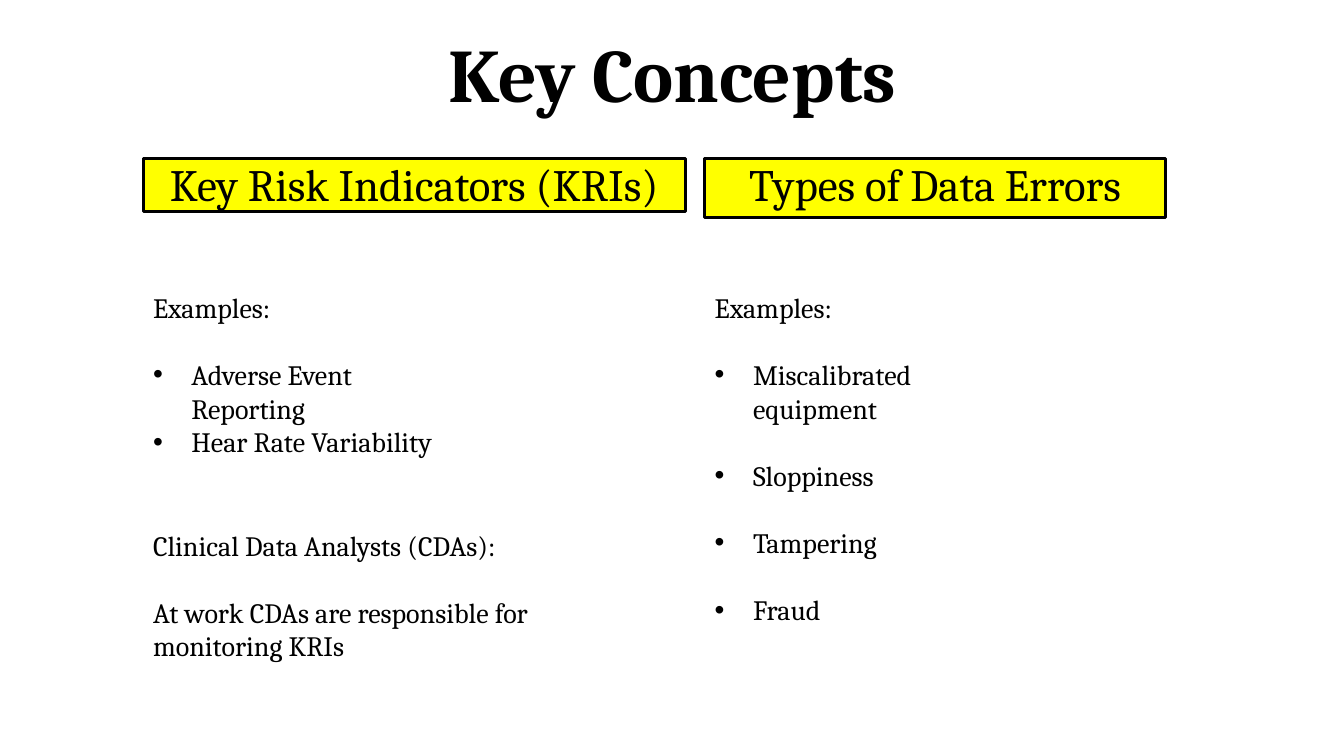
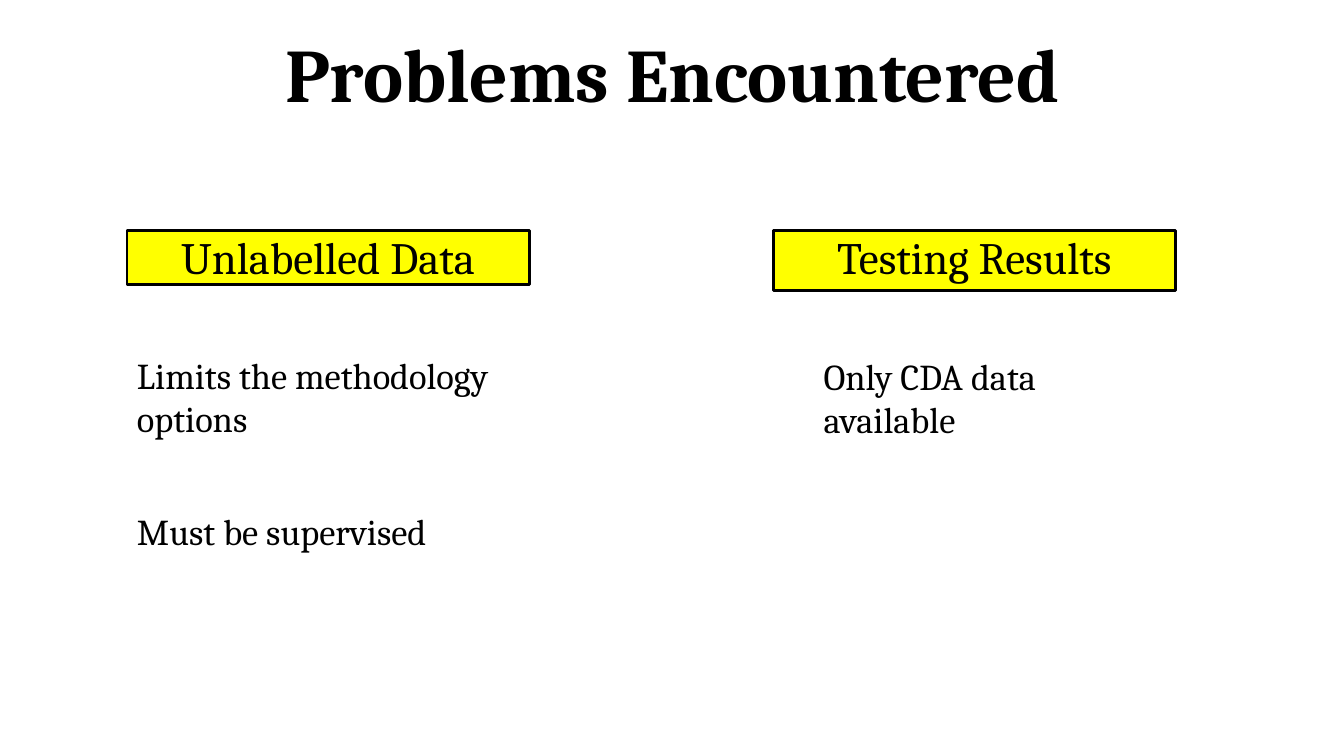
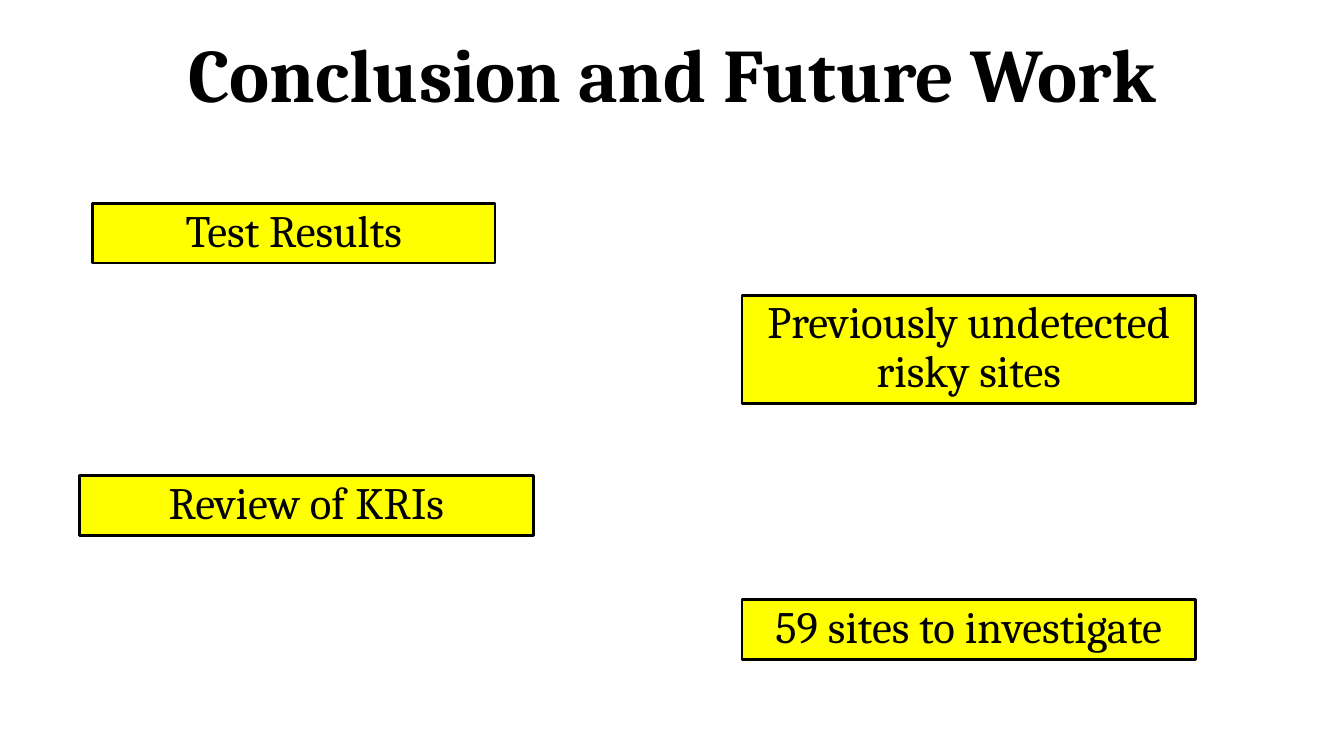
from lxml import etree
from pptx import Presentation
from pptx.dml.color import RGBColor
from pptx.enum.shapes import MSO_SHAPE
from pptx.enum.text import MSO_ANCHOR, MSO_AUTO_SIZE, PP_ALIGN
from pptx.oxml.ns import qn
from pptx.util import Inches, Pt

RECTANGLE = MSO_SHAPE.RECTANGLE
TOP, MIDDLE = MSO_ANCHOR.TOP, MSO_ANCHOR.MIDDLE
NO_AUTOFIT = MSO_AUTO_SIZE.NONE
LEFT, CENTER = PP_ALIGN.LEFT, PP_ALIGN.CENTER

FONT = "Cambria"
BLACK, YELLOW = "000000", "FFFF00"
TITLE_SIZE, LABEL_SIZE = 54, 32
TIGHT = 0.9
BLANK_LINE = 24
BULLET_INDENT = 0.38
SHORT_LABEL, LABEL, TALL_LABEL = 0.53, 0.59, 1.07


def colour(hex_value):
    """Turn a hex string into a colour."""
    return RGBColor.from_string(hex_value)


def add_run(paragraph, text, size, bold=False):
    """Add one run in the deck's font."""
    run = paragraph.add_run()
    run.text = text
    run.font.name = FONT
    run.font.size = Pt(size)
    run.font.bold = bold
    run.font.color.rgb = colour(BLACK)


def add_bullet(paragraph):
    """Give a paragraph a hanging round bullet."""
    properties = paragraph._p.get_or_add_pPr()
    properties.set("marL", str(Inches(BULLET_INDENT)))
    properties.set("indent", str(-Inches(BULLET_INDENT)))
    etree.SubElement(properties, qn("a:buFont")).set("typeface", "Arial")
    etree.SubElement(properties, qn("a:buChar")).set("char", "•")


def prepare_frame(shape, anchor):
    """Set wrapping and anchoring, and return the text frame."""
    frame = shape.text_frame
    frame.word_wrap = True
    frame.auto_size = NO_AUTOFIT
    frame.vertical_anchor = anchor
    return frame


def add_centred_text(shape, text, size, anchor, bold=False):
    """Write one tightly spaced, centred paragraph."""
    paragraph = prepare_frame(shape, anchor).paragraphs[0]
    paragraph.alignment = CENTER
    paragraph.line_spacing = TIGHT
    add_run(paragraph, text, size, bold)


def add_titled_slide(presentation, text):
    """Add a slide with the shared title style."""
    slide = presentation.slides.add_slide(presentation.slide_layouts[5])
    title = slide.shapes.title
    title.left, title.top = Inches(0.92), Inches(0.05)
    title.width, title.height = Inches(11.5), Inches(1.45)
    add_centred_text(title, text, TITLE_SIZE, MIDDLE, bold=True)
    return slide


def add_label(slide, text, left, top, width, height=LABEL):
    """Add a yellow label with a black outline."""
    label = slide.shapes.add_shape(
        RECTANGLE, Inches(left), Inches(top), Inches(width), Inches(height))
    label.shadow.inherit = False
    label.fill.solid()
    label.fill.fore_color.rgb = colour(YELLOW)
    label.line.color.rgb = colour(BLACK)
    label.line.width = Pt(2)
    add_centred_text(label, text, LABEL_SIZE, TOP)


def add_text(slide, items, left, top, width, height, size):
    """Add a text box from (text, bulleted, space before) items."""
    box = slide.shapes.add_textbox(
        Inches(left), Inches(top), Inches(width), Inches(height))
    frame = prepare_frame(box, TOP)
    for index, (text, bulleted, space_before) in enumerate(items):
        paragraph = frame.add_paragraph() if index else frame.paragraphs[0]
        if bulleted:
            add_bullet(paragraph)
        paragraph.alignment = LEFT
        if space_before:
            paragraph.space_before = Pt(space_before)
        add_run(paragraph, text, size)


def build_key_concepts(presentation):
    """Build the slide on risk indicators and data errors."""
    slide = add_titled_slide(presentation, "Key Concepts")
    left, right, top, text_top = 1.42, 6.99, 1.57, 2.83
    add_label(slide, "Key Risk Indicators (KRIs)", left, top, 5.38, SHORT_LABEL)
    add_label(slide, "Types of Data Errors", right, top, 4.57)

    indicators = [("Examples:", False, 0),
                  ("Adverse Event Reporting", True, BLANK_LINE),
                  ("Hear Rate Variability", True, 0)]
    analysts = [("Clinical Data Analysts (CDAs):", False, 0),
                ("At work CDAs are responsible for monitoring KRIs", False, BLANK_LINE)]
    errors = [("Examples:", False, 0)]
    for error in ("Miscalibrated equipment", "Sloppiness", "Tampering", "Fraud"):
        errors.append((error, True, BLANK_LINE))

    add_text(slide, indicators, left, text_top, 3.18, 1.78, 20)
    add_text(slide, analysts, left, 5.19, 3.93, 1.45, 20)
    add_text(slide, errors, right, text_top, 3.18, 3.47, 20)


def build_problems(presentation):
    """Build the slide on the problems encountered."""
    slide = add_titled_slide(presentation, "Problems Encountered")
    left, right, top, width = 1.26, 7.67, 2.29, 3.99
    add_label(slide, "Unlabelled Data", left, top, width, SHORT_LABEL)
    add_label(slide, "Testing Results", right, top, width)
    for text, text_left, text_top, text_width in (
            ("Limits the methodology options", left, 3.45, 4.45),
            ("Must be supervised", left, 5, 3.18),
            ("Only CDA data available", right + 0.4, 3.46, 3.18)):
        add_text(slide, [(text, False, 0)], text_left, text_top, text_width, 0.98, 26)


def build_conclusion(presentation):
    """Build the closing slide with its staggered labels."""
    slide = add_titled_slide(presentation, "Conclusion and Future Work")
    right, width = 7.36, 4.5
    add_label(slide, "Test Results", 0.92, 2.02, 3.99)
    add_label(slide, "Previously undetected risky sites", right, 2.93, width, TALL_LABEL)
    add_label(slide, "Review of KRIs", 0.79, 4.72, width)
    add_label(slide, "59 sites to investigate", right, 5.95, width)


def main():
    """Build and save the presentation."""
    presentation = Presentation()
    presentation.slide_width = Inches(13.33)
    presentation.slide_height = Inches(7.5)
    build_key_concepts(presentation)
    build_problems(presentation)
    build_conclusion(presentation)
    presentation.save("out.pptx")


if __name__ == "__main__":
    main()
